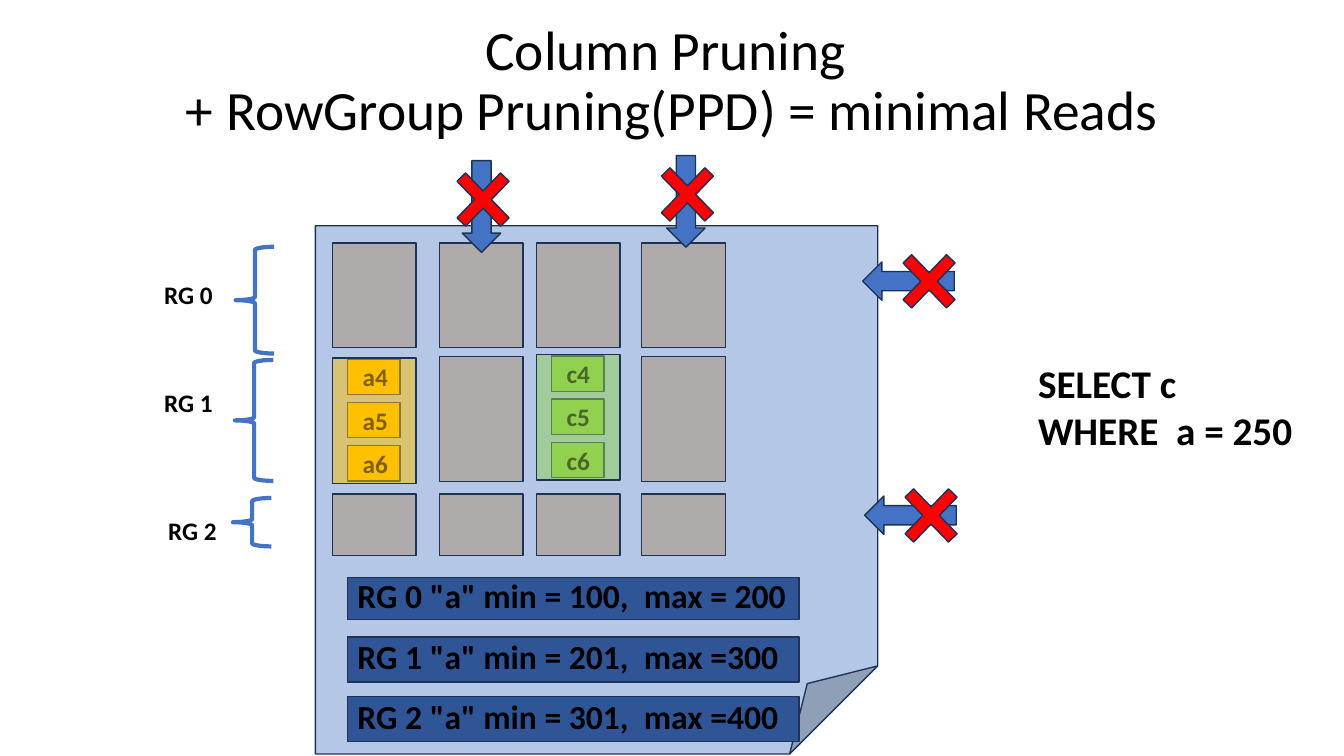
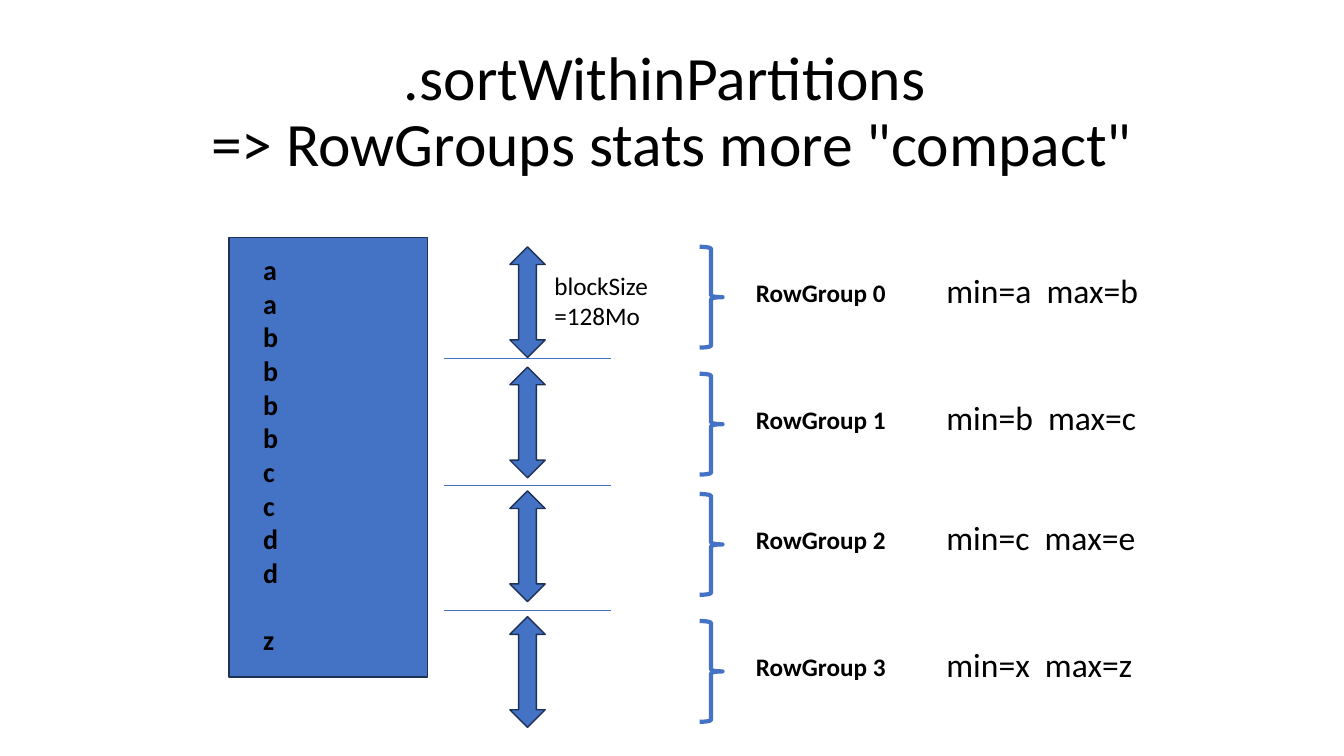
"""Build two slides on pruning and sorting row groups."""
from copy import deepcopy

from pptx import Presentation
from pptx.dml.color import RGBColor
from pptx.enum.shapes import MSO_CONNECTOR, MSO_SHAPE as Shape
from pptx.enum.text import MSO_ANCHOR as Anchor, MSO_AUTO_SIZE as AutoSize, PP_ALIGN as Align
from pptx.oxml.ns import qn
from pptx.oxml.xmlchemy import OxmlElement
from pptx.util import Cm, Pt

FONT = "Calibri"
COLORS = {"text": "000000", "outline": "1E3256", "blue": "4472C4", "file": "B4C7E7",
          "stats": "2F5597", "skipped": "AFABAB", "filter": "FFC000",
          "selected": "92D050", "cross": "FF0000"}

PRUNING_TITLE = "Column Pruning \v+ RowGroup Pruning(PPD) = minimal Reads"
QUERY = ["SELECT c", "WHERE  a = 250"]
STATS = [('RG 0 "a" min = 100,  max = 200', 1.07),
         ('RG 1 "a" min = 201,  max =300', 1.14),
         ('RG 2 "a" min = 301,  max =400', 1.14)]
GROUPS = [("RG 0", (3.89, 6.91), (5.94, 6.22, 0.97, 2.69)),
          ("RG 1", (3.89, 9.63), (5.92, 9.07, 0.97, 3.05)),
          ("RG 2", (3.99, 12.85), (5.87, 12.55, 0.97, 1.22))]
COLUMN_LEFTS = [8.38, 11.07, 13.52, 16.17]
ROWS = [(6.12, 2.64), (8.98, 3.16), (12.45, 1.55)]
READ_ROW = 1
READ_CELLS = {0: ("filter", 9.02, ["a4", "a5", "a6"]),
              2: ("selected", 8.94, ["c4", "c5", "c6"])}
DOWN_ARROWS = [(11.65, 4.05), (16.8, 3.92)]
SIDE_ARROWS = [(21.74, 6.6), (21.79, 12.5)]

SORTING_TITLE = '.sortWithinPartitions \v=> RowGroups stats more "compact"'
VALUES = list("aabbbbccddz")
BLOCK_SIZE = "blockSize\v=128Mo"
RANGES = [("min=a  max=b", 6.22, 6.22), ("min=b  max=c", 9.42, 9.25),
          ("min=c  max=e", 12.45, 12.37), ("min=x  max=z", 15.65, 15.54)]
DIVIDERS = [9.04, 12.24, 15.39]


def color(name):
    return RGBColor.from_string(COLORS[name])


def write(frame, lines, size, bold=False, align=Align.LEFT):
    frame.text = "\n".join(lines)
    for para in frame.paragraphs:
        para.alignment = align
        for span in para.runs:
            span.font.name = FONT
            span.font.size = Pt(size)
            span.font.bold = bold
            span.font.color.rgb = color("text")
        for line_break in para._p.findall(qn("a:br")):
            line_break.append(deepcopy(para.runs[0]._r.rPr))


def add_page(deck, title, top, height, size):
    page = deck.slides.add_slide(deck.slide_layouts[5])
    box = page.shapes.title
    box.left, box.top, box.width, box.height = Cm(2.33), Cm(top), Cm(29.21), Cm(height)
    frame = box.text_frame
    write(frame, [title], size, align=Align.CENTER)
    frame.auto_size = AutoSize.NONE
    frame.vertical_anchor = Anchor.MIDDLE
    frame.paragraphs[0].line_spacing = 0.9
    return page


def add_text(page, place, lines, size, bold=False):
    frame = page.shapes.add_textbox(*map(Cm, place)).text_frame
    frame.word_wrap = True
    write(frame, lines, size, bold)


def add_shape(page, kind, place, fill, alpha=None):
    shape = page.shapes.add_shape(kind, *map(Cm, place))
    shape.shadow.inherit = False
    shape.fill.solid()
    shape.fill.fore_color.rgb = color(fill)
    shape.line.color.rgb = color("outline")
    shape.line.width = Pt(1)
    if alpha:
        opacity = OxmlElement("a:alpha")
        opacity.set("val", str(alpha * 1000))
        shape._element.spPr.find(qn("a:solidFill"))[0].append(opacity)
    return shape


def fill_text(shape, lines, size, left, top=0, bottom=0, anchor=Anchor.MIDDLE):
    frame = shape.text_frame
    frame.margin_left, frame.margin_right = Cm(left), 0
    frame.margin_top, frame.margin_bottom = Cm(top), Cm(bottom)
    frame.vertical_anchor = anchor
    write(frame, lines, size, bold=True)


def add_brace(page, kind, place):
    brace = page.shapes.add_shape(kind, *map(Cm, place))
    brace.shadow.inherit = False
    brace.fill.background()
    brace.line.color.rgb = color("blue")
    brace.line.width = Pt(3)


def add_crossed_arrow(page, kind, left, top, size, shift):
    add_shape(page, kind, (left, top, *size), "blue")
    cross = add_shape(page, Shape.MATH_MULTIPLY,
                      (left + shift[0], top + shift[1], 2.11, 2.18), "cross")
    cross.adjustments[0] = 0.143


def add_divider(page, top):
    line = page.shapes.add_connector(MSO_CONNECTOR.STRAIGHT,
                                     Cm(15.39), Cm(top), Cm(11.18), Cm(top))
    line.line.color.rgb = color("blue")
    line.line.width = Pt(0.5)
    line._element.spPr.append(OxmlElement("a:effectLst"))


def build_pruning(deck):
    page = add_page(deck, PRUNING_TITLE, 0.33, 3.48, 39.6)
    add_shape(page, Shape.FOLDED_CORNER, (7.95, 5.69, 14.17, 13.31), "file")
    for index, (stat, height) in enumerate(STATS):
        bar = add_shape(page, Shape.RECTANGLE,
                        (8.76, 14.55 + 1.5 * index, 11.38, height), "stats")
        fill_text(bar, [stat], 24, left=0.25, bottom=0.17)
    for name, label_at, brace_place in GROUPS:
        add_text(page, (*label_at, 2, 1.02), [name], 18, bold=True)
        add_brace(page, Shape.LEFT_BRACE, brace_place)
    add_text(page, (25.91, 8.94, 7.5, 2.64), QUERY, 28, bold=True)

    for row, (top, height) in enumerate(ROWS):
        for column, left in enumerate(COLUMN_LEFTS):
            if row != READ_ROW or column not in READ_CELLS:
                add_shape(page, Shape.RECTANGLE, (left, top, 2.11, height), "skipped")
                continue
            fill, cell_top, values = READ_CELLS[column]
            for index, value in enumerate(values):
                chip = add_shape(page, Shape.RECTANGLE,
                                 (left + 0.38, cell_top + 0.03 + 1.09 * index, 1.32, 0.89), fill)
                fill_text(chip, [value], 18, left=0.38)
            add_shape(page, Shape.RECTANGLE, (left, cell_top, 2.11, height), fill, alpha=50)

    for left, top in DOWN_ARROWS:
        add_crossed_arrow(page, Shape.DOWN_ARROW, left, top, (0.97, 2.31), (-0.53, -0.11))
    for left, top in SIDE_ARROWS:
        add_crossed_arrow(page, Shape.LEFT_ARROW, left, top, (2.31, 0.97), (0.62, -0.6))


def build_sorting(deck):
    page = add_page(deck, SORTING_TITLE, 1.02, 3.68, 44)
    partition = add_shape(page, Shape.RECTANGLE, (5.77, 5.99, 5, 11.07), "blue")
    fill_text(partition, VALUES, 20, left=0.86, top=0.38, anchor=Anchor.TOP)
    partition.text_frame.paragraphs[-1].space_before = Pt(24)
    for top in DIVIDERS:
        add_divider(page, top)
    for index, (limits, top, arrow_top) in enumerate(RANGES):
        add_shape(page, Shape.UP_DOWN_ARROW, (12.85, arrow_top, 0.89, 2.79), "blue")
        add_brace(page, Shape.RIGHT_BRACE, (17.63, top, 0.58, 2.54))
        add_text(page, (18.8, top + 0.64, 4.2, 1.02), [f"RowGroup {index}"], 18, bold=True)
        add_text(page, (23.6, top + 0.45, 6, 1.27), [limits], 24)
    add_text(page, (13.72, 6.68, 3.2, 1.8), [BLOCK_SIZE], 18)


def main():
    deck = Presentation()
    deck.slide_width, deck.slide_height = Cm(33.87), Cm(19.05)
    build_pruning(deck)
    build_sorting(deck)
    deck.save("out.pptx")


if __name__ == "__main__":
    main()
